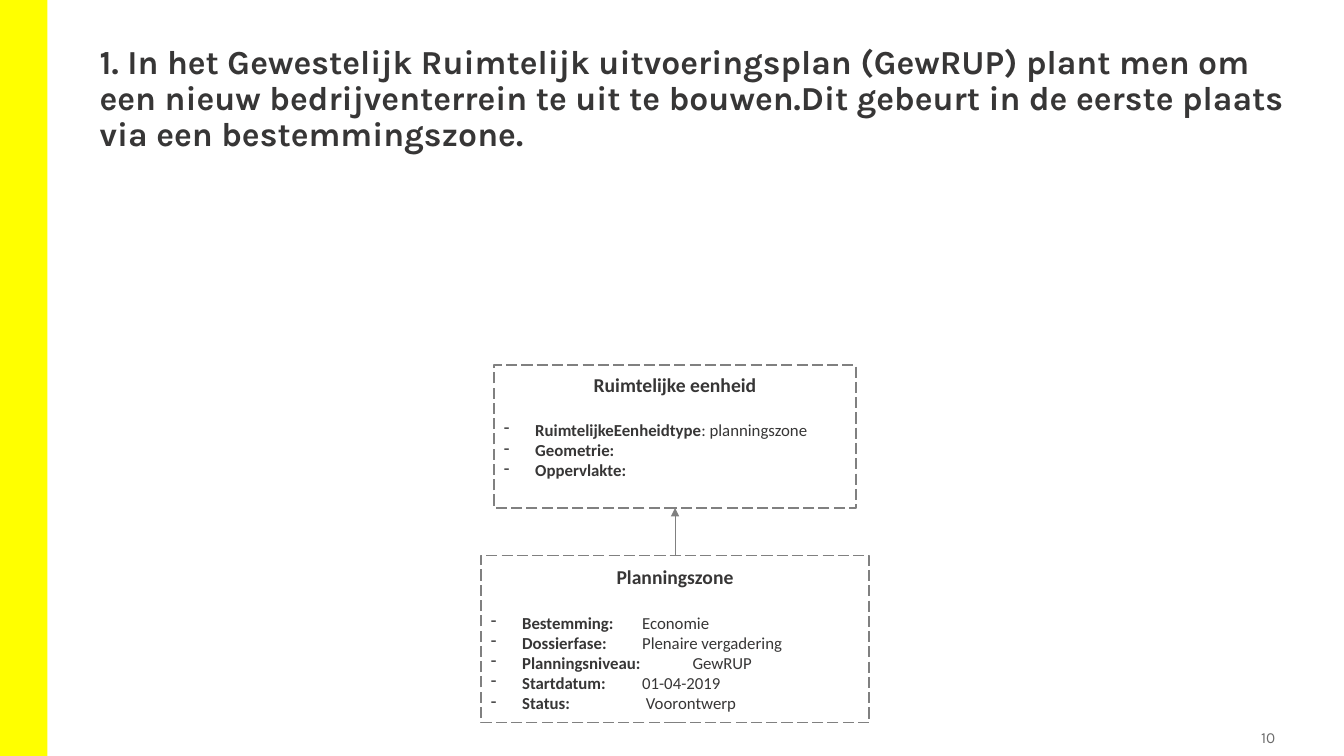
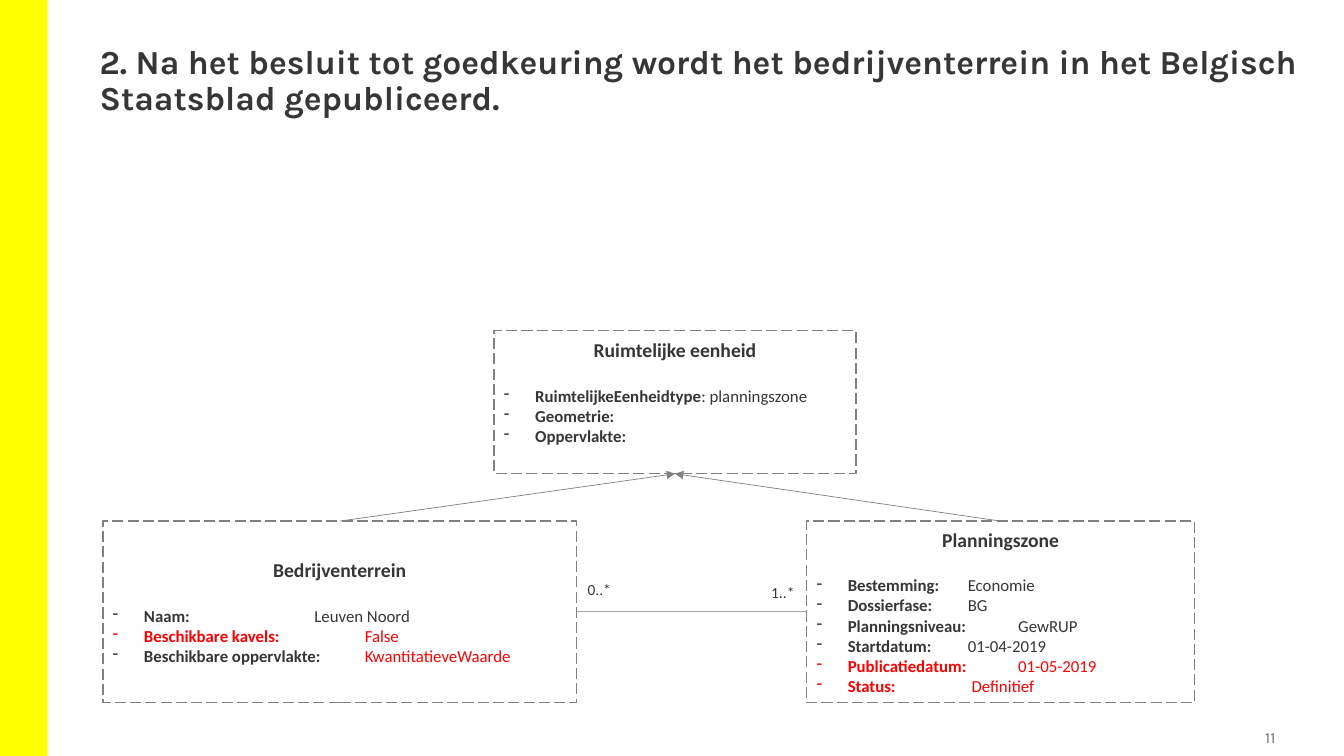
from dataclasses import dataclass

import pptx
import pptx.util
import pptx.dml.color
import pptx.enum.dml
import pptx.enum.shapes
import pptx.enum.text
import pptx.oxml.ns
from lxml import etree

Inches = pptx.util.Inches
Pt = pptx.util.Pt
Align = pptx.enum.text.PP_ALIGN
Anchor = pptx.enum.text.MSO_ANCHOR
RECT = pptx.enum.shapes.MSO_SHAPE.RECTANGLE
STRAIGHT = pptx.enum.shapes.MSO_CONNECTOR.STRAIGHT
TOP, LEFT, BASE, RIGHT = range(4)


@dataclass(frozen=True)
class Theme:
    ink: str = "373636"
    red: str = "FF0000"
    band: str = "FFFF00"
    edge: str = "808080"
    pale: str = "A6A6A6"
    page: str = "6B6B6B"
    head: str = "Karla"
    body: str = "Calibri"
    title: float = 24
    name: float = 14
    row: float = 12
    small: float = 11


@dataclass(frozen=True)
class Row:
    label: str
    value: str = ""
    hue: str = ""
    tint: str = ""


@dataclass(frozen=True)
class Box:
    name: str
    left: float
    top: float
    width: float
    height: float
    rows: tuple[Row, ...]
    foot: float = 0.05


@dataclass(frozen=True)
class Label:
    text: str
    left: float
    top: float


@dataclass(frozen=True)
class Link:
    start: str
    out: int
    end: str
    into: int
    arrow: bool = True


@dataclass(frozen=True)
class Page:
    title: str
    number: str
    boxes: tuple[Box, ...]
    links: tuple[Link, ...]
    labels: tuple[Label, ...] = ()


THEME = Theme()


def tone(hue: str):
    return pptx.dml.color.RGBColor.from_string(hue)


def write(par, text: str, *, size: float, hue: str = THEME.ink,
          font: str = THEME.body, bold: bool = False) -> None:
    run = par.add_run()
    run.text = text
    run.font.size = Pt(size)
    run.font.name = font
    run.font.bold = bold
    run.font.color.rgb = tone(hue)


def add_text(slide, left: float, top: float, width: float, height: float):
    frame = slide.shapes.add_textbox(
        Inches(left), Inches(top), Inches(width), Inches(height)).text_frame
    frame.word_wrap = True
    return frame


def add_rect(slide, left: float, top: float, width: float, height: float):
    shape = slide.shapes.add_shape(
        RECT, Inches(left), Inches(top), Inches(width), Inches(height))
    shape.shadow.inherit = False
    return shape


def add_dash(par) -> None:
    props = par._p.get_or_add_pPr()
    props.set("marL", str(Inches(0.31)))
    props.set("indent", str(-Inches(0.31)))
    mark = etree.SubElement(props, pptx.oxml.ns.qn("a:buChar"))
    mark.set("char", "-")


def add_box(slide, box: Box):
    shape = add_rect(slide, box.left, box.top, box.width, box.height)
    shape.fill.background()
    shape.line.color.rgb = tone(THEME.edge)
    shape.line.width = Pt(1)
    shape.line.dash_style = pptx.enum.dml.MSO_LINE.LONG_DASH
    frame = shape.text_frame
    frame.word_wrap = True
    frame.vertical_anchor = Anchor.MIDDLE
    frame.margin_bottom = Inches(box.foot)
    head = frame.paragraphs[0]
    head.alignment = Align.CENTER
    head.space_after = Pt(17)
    write(head, box.name, size=THEME.name, bold=True)
    for row in box.rows:
        par = frame.add_paragraph()
        par.alignment = Align.LEFT
        add_dash(par)
        hue = row.hue or THEME.ink
        write(par, row.label, size=THEME.row, hue=hue, bold=True)
        if row.value:
            write(par, row.value, size=THEME.row, hue=row.tint or hue)
    return shape


def add_link(slide, link: Link, shapes: dict) -> None:
    line = slide.shapes.add_connector(STRAIGHT, 0, 0, 0, 0)
    line.begin_connect(shapes[link.start], link.out)
    line.end_connect(shapes[link.end], link.into)
    line.line.color.rgb = tone(THEME.edge if link.arrow else THEME.pale)
    line.line.width = Pt(0.5)
    if link.arrow:
        tip = etree.SubElement(line.line._get_or_add_ln(),
                               pptx.oxml.ns.qn("a:tailEnd"))
        tip.set("type", "triangle")
    etree.SubElement(line._element.spPr, pptx.oxml.ns.qn("a:effectLst"))


def add_frame(slide, title: str, number: str) -> None:
    band = add_rect(slide, 0, 0, 0.47, 7.5)
    band.fill.solid()
    band.fill.fore_color.rgb = tone(THEME.band)
    band.line.fill.background()
    par = add_text(slide, 0.89, 0.4, 12.24, 1.45).paragraphs[0]
    par.line_spacing = 0.9
    write(par, title, size=THEME.title, font=THEME.head, bold=True)
    foot = add_text(slide, 11.7, 7.17, 1, 0.29)
    foot.vertical_anchor = Anchor.MIDDLE
    foot.margin_left = foot.margin_right = Inches(0.05)
    foot.paragraphs[0].alignment = Align.RIGHT
    write(foot.paragraphs[0], number, size=THEME.small,
          hue=THEME.page, font=THEME.head)


def add_page(deck, page: Page) -> None:
    slide = deck.slides.add_slide(deck.slide_layouts[6])
    add_frame(slide, page.title, page.number)
    shapes = {box.name: add_box(slide, box) for box in page.boxes}
    for link in page.links:
        add_link(slide, link, shapes)
    for label in page.labels:
        frame = add_text(slide, label.left, label.top, 0.45, 0.29)
        write(frame.paragraphs[0], label.text, size=THEME.small)


UNIT, ZONE, SITE = "Ruimtelijke eenheid", "Planningszone", "Bedrijventerrein"


def unit_box(top: float) -> Box:
    rows = (Row("RuimtelijkeEenheidtype", ": planningszone"),
            Row("Geometrie:"), Row("Oppervlakte:"))
    return Box(UNIT, 4.9, top, 3.59, 1.42, rows, foot=0.25)


def zone_box(left: float, top: float, height: float, phase: str,
             *last: Row) -> Box:
    rows = (Row("Bestemming: \t", "Economie"),
            Row("Dossierfase: \t", phase),
            Row("Planningsniveau: \t", "GewRUP"),
            Row("Startdatum:\t", "01-04-2019"))
    return Box(ZONE, left, top, 3.85, height, rows + last)


SITE_ROWS = (
    Row("Naam:\t\t\t", "Leuven Noord"),
    Row("Beschikbare kavels:\t\t", "False", THEME.red),
    Row("Beschikbare oppervlakte:\t", "KwantitatieveWaarde", tint=THEME.red),
)

PAGES = (
    Page("1. In het Gewestelijk Ruimtelijk uitvoeringsplan (GewRUP) plant men "
         "om een nieuw bedrijventerrein te uit te bouwen.Dit gebeurt in de "
         "eerste plaats via een bestemmingszone.", "10",
         (zone_box(4.77, 5.51, 1.66, "Plenaire vergadering",
                   Row("Status:\t\t ", "Voorontwerp")),
          unit_box(3.62)),
         (Link(ZONE, TOP, UNIT, BASE),)),
    Page("2. Na het besluit tot goedkeuring wordt het bedrijventerrein in het "
         "Belgisch Staatsblad gepubliceerd.", "11",
         (unit_box(3.28),
          zone_box(8, 5.17, 1.8, "BG",
                   Row("Publicatiedatum: \t", "01-05-2019", THEME.red),
                   Row("Status:\t\t ", "Definitief", THEME.red)),
          Box(SITE, 1.02, 5.17, 4.7, 1.8, SITE_ROWS)),
         (Link(ZONE, TOP, UNIT, BASE),
          Link(SITE, TOP, UNIT, BASE),
          Link(ZONE, LEFT, SITE, RIGHT, arrow=False)),
         (Label("1..*", 7.55, 5.74), Label("0..*", 5.73, 5.71))),
)


def main() -> None:
    deck = pptx.Presentation()
    deck.slide_width = Inches(13.33)
    deck.slide_height = Inches(7.5)
    for page in PAGES:
        add_page(deck, page)
    deck.save("out.pptx")


main()
